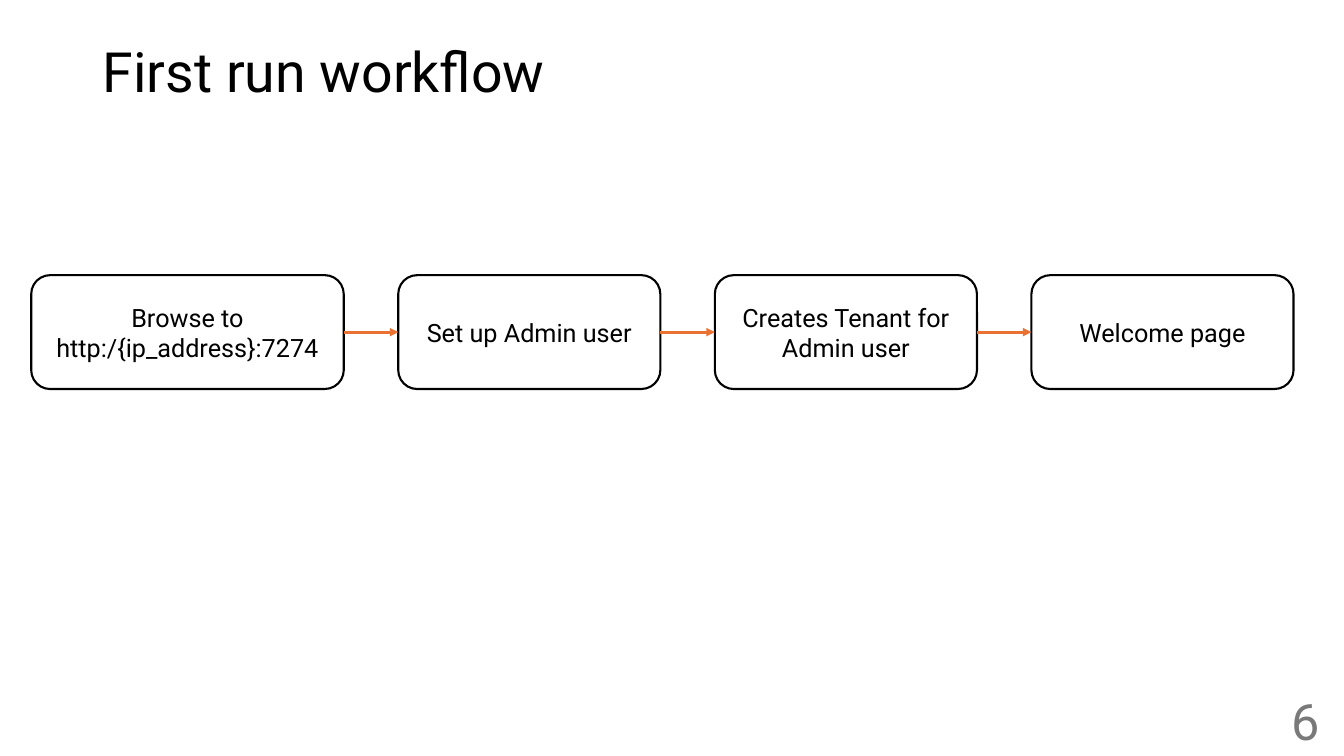
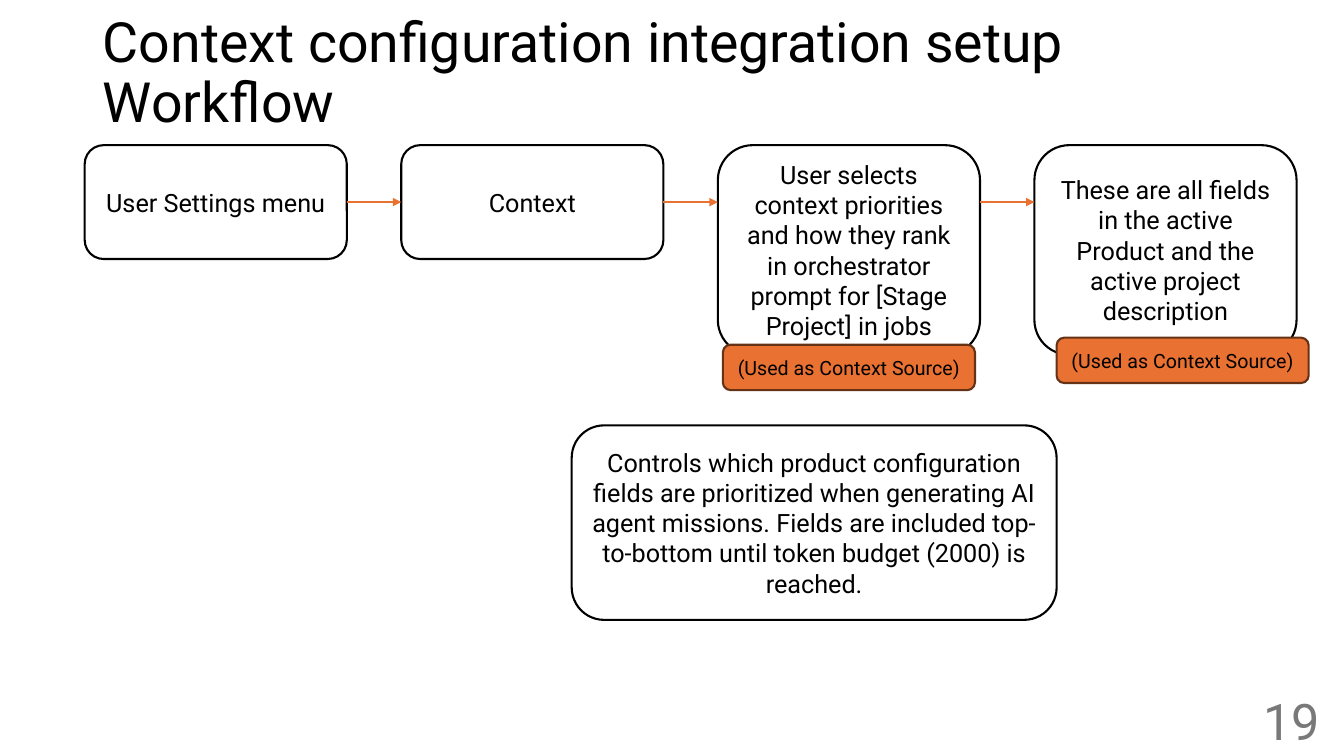
import pptx
import pptx.util
import pptx.dml.color
import pptx.enum.shapes
import pptx.enum.text
import pptx.oxml.ns
import lxml.etree

Inches = pptx.util.Inches
Pt = pptx.util.Pt
ALIGN = pptx.enum.text.PP_ALIGN
FONT = "Roboto"
BLACK, WHITE, ORANGE, BROWN, GREY = "000000", "FFFFFF", "E97132", "663216", "797979"
FRAME_FORMAT = {
    "word_wrap": True,
    "auto_size": pptx.enum.text.MSO_AUTO_SIZE.NONE,
    "vertical_anchor": pptx.enum.text.MSO_ANCHOR.MIDDLE,
}
STYLES = {
    "title": {"size": 39.6, "color": BLACK, "paragraph": {"alignment": ALIGN.LEFT, "line_spacing": 0.9}},
    "number": {"size": 36, "color": GREY, "paragraph": {"alignment": ALIGN.RIGHT}},
    "step": {"size": 18, "color": BLACK, "fill": WHITE, "line": BLACK, "paragraph": {"alignment": ALIGN.CENTER}},
    "tag": {"size": 14, "color": BLACK, "fill": ORANGE, "line": BROWN, "paragraph": {"alignment": ALIGN.CENTER}},
}
STEP_WIDTH, STEP_HEIGHT, TALL_HEIGHT, PITCH = 2.6, 1.13, 2.08, 3.14
SOURCE_TAG = "(Used as Context Source)"

workflows = [
    {
        "title": "First run workflow",
        "number": "6",
        "left": 0.81,
        "top": 2.73,
        "steps": [
            ("Browse to http:/{ip_address}:7274", STEP_HEIGHT, 0.5),
            ("Set up Admin user", STEP_HEIGHT, 0),
            ("Creates Tenant for Admin user", STEP_HEIGHT, 0),
            ("Welcome page", STEP_HEIGHT, 0),
        ],
        "extras": [],
    },
    {
        "title": "Context configuration integration setup Workflow",
        "number": "19",
        "left": 0.84,
        "top": 1.44,
        "steps": [
            ("User Settings menu", STEP_HEIGHT, 0),
            ("Context", STEP_HEIGHT, 0),
            ("User selects context priorities and how they rank in orchestrator prompt for "
             "[Stage Project] in jobs", TALL_HEIGHT, 0),
            ("These are all fields in the active Product and the active project description", TALL_HEIGHT, 0),
        ],
        "extras": [
            ("step", "Controls which product configuration fields are prioritized when generating AI "
             "agent missions. Fields are included top-to-bottom until token budget (2000) is reached.",
             (5.67, 4.22, 4.81, 1.93)),
            ("tag", SOURCE_TAG, (7.17, 3.42, 2.5, 0.45)),
            ("tag", SOURCE_TAG, (10.48, 3.35, 2.5, 0.45)),
        ],
    },
]


def rgb(hex_color):
    return pptx.dml.color.RGBColor.from_string(hex_color)


def write_text(shape, text, style):
    frame = shape.text_frame
    frame.text = text
    paragraph = frame.paragraphs[0]
    font_format = {"name": FONT, "size": Pt(style["size"])}
    for target, values in (
        (frame, FRAME_FORMAT),
        (paragraph, style["paragraph"]),
        (paragraph.runs[0].font, font_format),
    ):
        for attribute, value in values.items():
            setattr(target, attribute, value)
    paragraph.runs[0].font.color.rgb = rgb(style["color"])


deck = pptx.Presentation()
deck.slide_width, deck.slide_height = Inches(13.33), Inches(7.5)

for workflow in workflows:
    slide = deck.slides.add_slide(deck.slide_layouts[5])
    title = slide.shapes.title
    title_place = {"left": 0.92, "top": 0.4, "width": 11.5, "height": 0.68}
    for side, length in title_place.items():
        setattr(title, side, Inches(length))
    write_text(title, workflow["title"], STYLES["title"])

    top = workflow["top"]
    boxes = []
    for index, (text, height, extra_width) in enumerate(workflow["steps"]):
        left = workflow["left"] + index * PITCH - extra_width
        boxes.append(("step", text, (left, top, STEP_WIDTH + extra_width, height)))

    for kind, text, place in boxes + workflow["extras"]:
        style = STYLES[kind]
        box = slide.shapes.add_shape(
            pptx.enum.shapes.MSO_SHAPE.ROUNDED_RECTANGLE, *map(Inches, place)
        )
        box.shadow.inherit = False
        box.fill.solid()
        box.fill.fore_color.rgb = rgb(style["fill"])
        box.line.color.rgb = rgb(style["line"])
        box.line.width = Pt(1.5)
        write_text(box, text, style)

    arrow_y = Inches(top + STEP_HEIGHT / 2)
    for index in range(len(boxes) - 1):
        arrow_start = workflow["left"] + index * PITCH + STEP_WIDTH
        arrow_end = workflow["left"] + (index + 1) * PITCH
        arrow = slide.shapes.add_connector(
            pptx.enum.shapes.MSO_CONNECTOR.STRAIGHT,
            Inches(arrow_start), arrow_y, Inches(arrow_end), arrow_y,
        )
        arrow.line.color.rgb = rgb(ORANGE)
        arrow.line.width = Pt(2)
        line_xml = arrow.line._get_or_add_ln()
        lxml.etree.SubElement(line_xml, pptx.oxml.ns.qn("a:tailEnd"), type="triangle")
        lxml.etree.SubElement(arrow._element.spPr, pptx.oxml.ns.qn("a:effectLst"))

    number = slide.shapes.add_textbox(*map(Inches, (10.19, 6.95, 3, 0.4)))
    write_text(number, workflow["number"], STYLES["number"])

deck.save("out.pptx")
